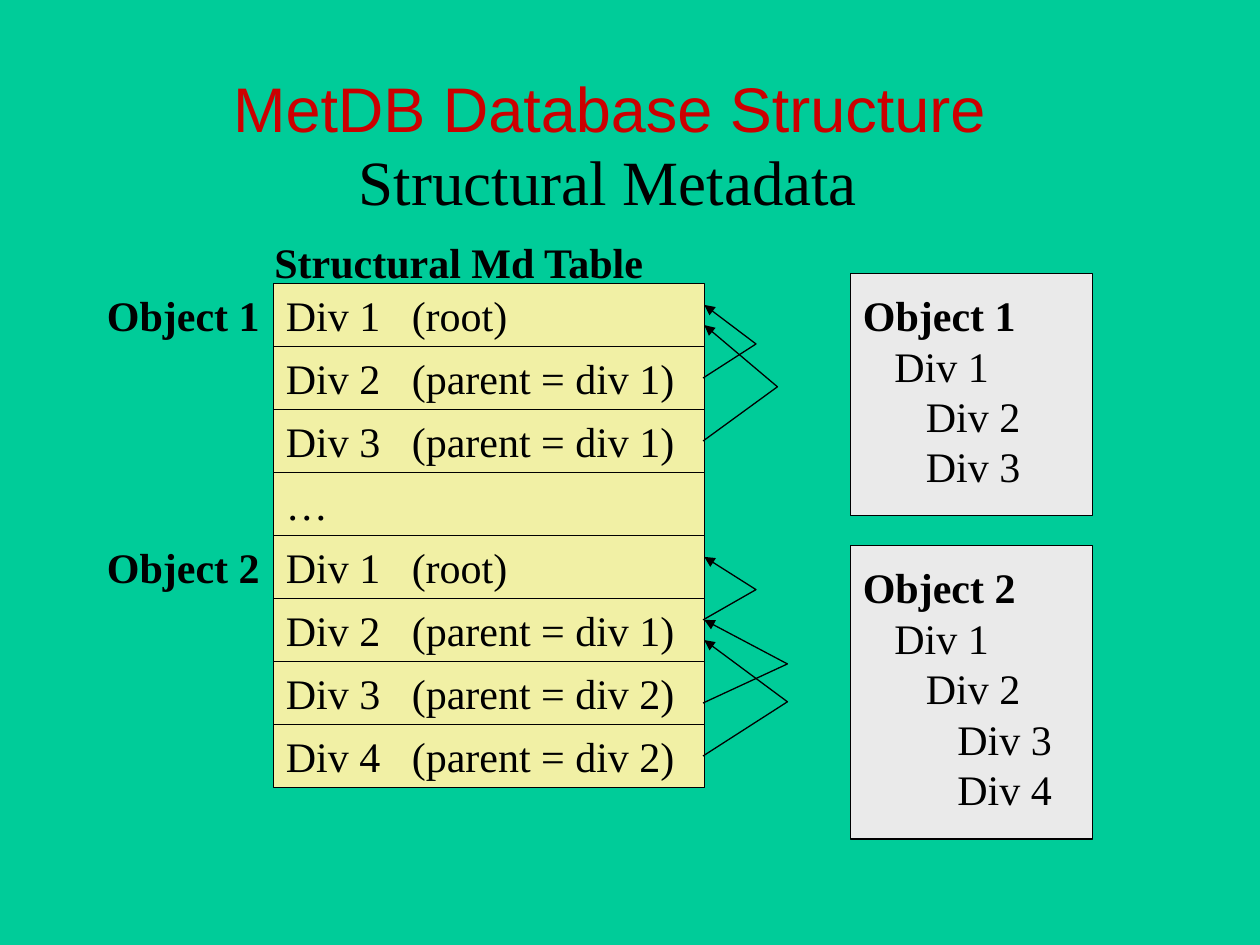
"""Builds a slide on the structural metadata table of a database."""
from dataclasses import dataclass

from lxml import etree
from pptx import Presentation
from pptx.dml.color import RGBColor
from pptx.enum.shapes import MSO_SHAPE
from pptx.enum.text import MSO_ANCHOR, MSO_AUTO_SIZE, PP_ALIGN
from pptx.oxml.ns import qn
from pptx.util import Inches, Pt

RECTANGLE = MSO_SHAPE.RECTANGLE
TOP, MIDDLE = MSO_ANCHOR.TOP, MSO_ANCHOR.MIDDLE
LEFT, RIGHT = PP_ALIGN.LEFT, PP_ALIGN.RIGHT
FIXED_SIZE = MSO_AUTO_SIZE.NONE
TITLE_ONLY = 5


@dataclass(frozen=True)
class Theme:
    """Colours, fonts and sizes of the slide."""
    background: str = "00CC99"
    title: str = "CC0000"
    ink: str = "000000"
    row: str = "F1F0A5"
    panel: str = "EAEAEA"
    title_font: str = "Arial"
    body_font: str = "Times New Roman"
    title_size: int = 36
    body_size: int = 24
    line_width: float = 0.75


THEME = Theme()
TABLE_LEFT, TABLE_TOP = 2.17, 2.25
ROW_WIDTH, ROW_HEIGHT = 3.42, 0.5
PARENT_LEFT = 3.17
INDENT = 0.25

ROWS = [
    ("Div 1", "(root)"),
    ("Div 2", "(parent = div 1)"),
    ("Div 3", "(parent = div 1)"),
    ("…", ""),
    ("Div 1", "(root)"),
    ("Div 2", "(parent = div 1)"),
    ("Div 3", "(parent = div 2)"),
    ("Div 4", "(parent = div 2)"),
]
ROW_LABELS = [("Object 1", 0), ("Object 2", 4)]
PARENT_ARROWS = [
    ((5.58, 3.0), (6.0, 2.73), (5.59, 2.42)),
    ((5.58, 3.5), (6.17, 3.07), (5.59, 2.58)),
    ((5.58, 4.92), (6.0, 4.68), (5.59, 4.42)),
    ((5.58, 5.58), (6.25, 5.27), (5.59, 4.92)),
    ((5.58, 6.0), (6.25, 5.57), (5.59, 5.08)),
]
PANELS = [
    (2.17, 1.92, "Object 1", [("Div 1", 1), ("Div 2", 2), ("Div 3", 2)]),
    (4.33, 2.33, "Object 2",
     [("Div 1", 1), ("Div 2", 2), ("Div 3", 3), ("Div 4", 3)]),
]


def write_text(paragraph, text, *, size=THEME.body_size, font=THEME.body_font,
               color=THEME.ink, bold=False, align=LEFT, level=0):
    """Write formatted text into a paragraph, indented by its level."""
    paragraph.alignment = align
    if level:
        paragraph._p.get_or_add_pPr().set("marL", str(Inches(INDENT * level)))
    run = paragraph.add_run()
    run.text = text
    run.font.size = Pt(size)
    run.font.name = font
    run.font.bold = bold
    run.font.color.rgb = RGBColor.from_string(color)


def set_frame(shape, anchor=TOP):
    """Set the frame of a shape's text and return its first paragraph."""
    frame = shape.text_frame
    frame.auto_size = FIXED_SIZE
    frame.word_wrap = False
    frame.vertical_anchor = anchor
    frame.margin_left = frame.margin_right = Inches(0.1)
    frame.margin_top = frame.margin_bottom = Inches(0.05)
    return frame.paragraphs[0]


def add_text(shapes, left, top, width, height, text, **text_format):
    """Add a text box with one paragraph and return it."""
    box = shapes.add_textbox(*map(Inches, (left, top, width, height)))
    write_text(set_frame(box), text, **text_format)
    return box


def set_outline(shape):
    """Give a shape a thin dark line and no shadow."""
    shape.shadow.inherit = False
    shape.line.color.rgb = RGBColor.from_string(THEME.ink)
    shape.line.width = Pt(THEME.line_width)


def add_rectangle(shapes, left, top, width, height, color):
    """Add a filled, outlined rectangle and return it."""
    rectangle = shapes.add_shape(
        RECTANGLE, *map(Inches, (left, top, width, height)))
    rectangle.fill.solid()
    rectangle.fill.fore_color.rgb = RGBColor.from_string(color)
    set_outline(rectangle)
    return rectangle


def add_row(shapes, index, division, parent):
    """Add one row of the metadata table."""
    top = TABLE_TOP + index * ROW_HEIGHT
    row = add_rectangle(shapes, TABLE_LEFT, top, ROW_WIDTH, ROW_HEIGHT, THEME.row)
    write_text(set_frame(row, anchor=MIDDLE), division)
    if parent:
        width = 0.96 if parent == "(root)" else 2.28
        add_text(shapes, PARENT_LEFT, top, width, ROW_HEIGHT, parent)


def add_arrow(shapes, points):
    """Add a bent line with an arrowhead at its last point."""
    start, *bends = [tuple(map(Inches, point)) for point in points]
    builder = shapes.build_freeform(*start)
    builder.add_line_segments(bends, close=False)
    arrow = builder.convert_to_shape()
    arrow.fill.background()
    set_outline(arrow)
    line = arrow._element.spPr.find(qn("a:ln"))
    etree.SubElement(line, qn("a:tailEnd"), type="triangle")


def add_panel(shapes, top, height, name, divisions):
    """Add a grouped panel that lists an object's divisions as a tree."""
    group = shapes.add_group_shape()
    add_rectangle(group.shapes, 6.75, top, 1.92, height, THEME.panel)
    deepest = max(level for _, level in divisions)
    box = add_text(group.shapes, 6.75, top + 0.08, 0.95 + deepest * INDENT,
                   height - 0.22, name, bold=True)
    for division, level in divisions:
        write_text(box.text_frame.add_paragraph(), division, level=level)


def add_headings(shapes):
    """Fill the title and add the subtitle and the table heading."""
    title = shapes.title
    title.left, title.top = Inches(1.75), Inches(0.5)
    title.width, title.height = Inches(6.28), Inches(0.7)
    write_text(set_frame(title), "MetDB Database Structure", color=THEME.title,
               font=THEME.title_font, size=THEME.title_size)
    add_text(shapes, 2.75, 1.08, 4.15, 0.7, "Structural Metadata",
             size=THEME.title_size)
    add_text(shapes, 2.08, 1.83, 3.16, 0.5, "Structural Md Table", bold=True)


def main():
    """Build the slide and save the presentation."""
    presentation = Presentation()
    presentation.slide_width = Inches(10)
    presentation.slide_height = Inches(7.5)
    slide = presentation.slides.add_slide(presentation.slide_layouts[TITLE_ONLY])
    slide.background.fill.solid()
    slide.background.fill.fore_color.rgb = RGBColor.from_string(THEME.background)
    shapes = slide.shapes
    add_headings(shapes)
    for index, (division, parent) in enumerate(ROWS):
        add_row(shapes, index, division, parent)
    for label, index in ROW_LABELS:
        add_text(shapes, 0.75, TABLE_TOP + index * ROW_HEIGHT, 1.41, ROW_HEIGHT,
                 label, bold=True, align=RIGHT)
    for points in PARENT_ARROWS:
        add_arrow(shapes, points)
    for panel in PANELS:
        add_panel(shapes, *panel)
    presentation.save("out.pptx")


main()
